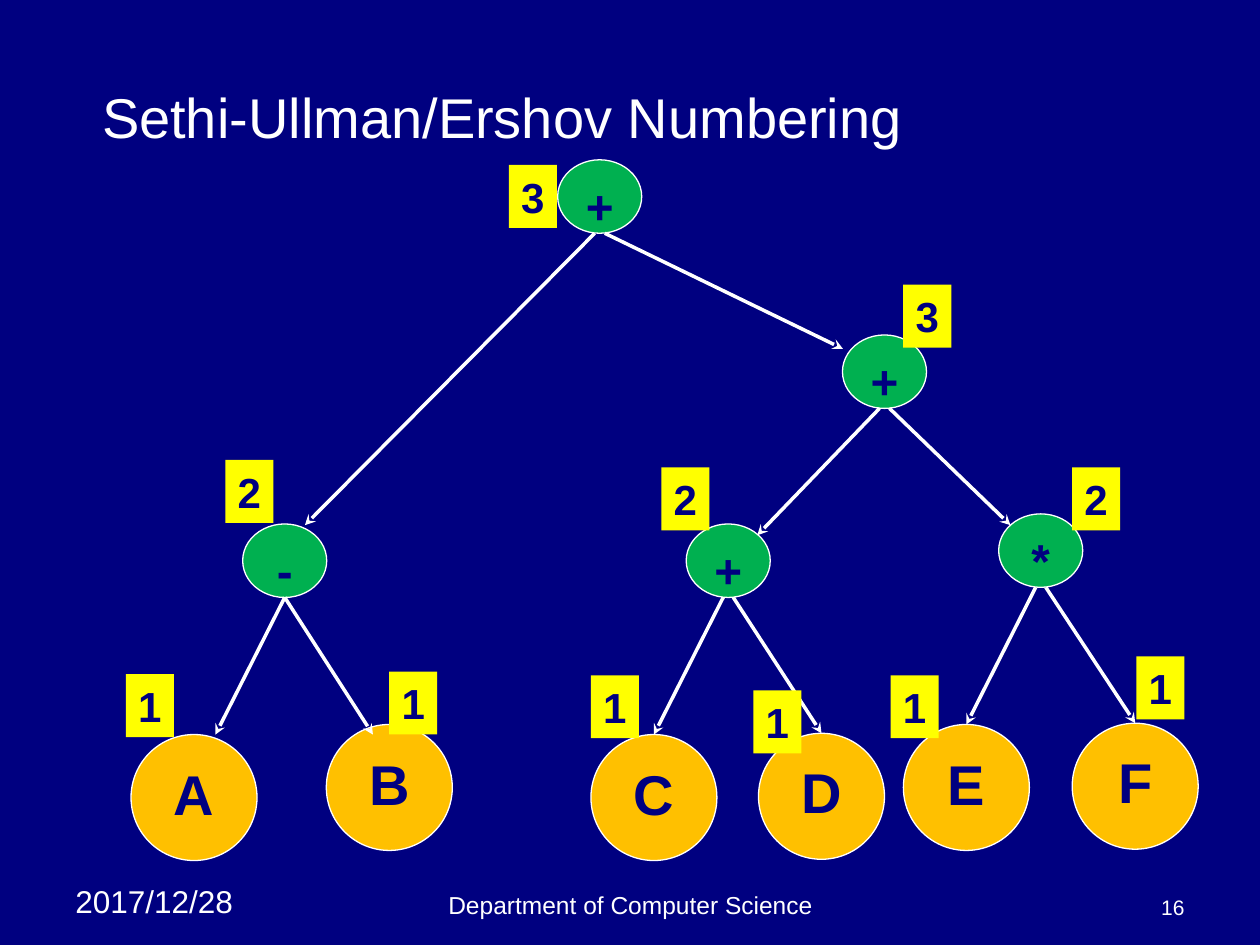
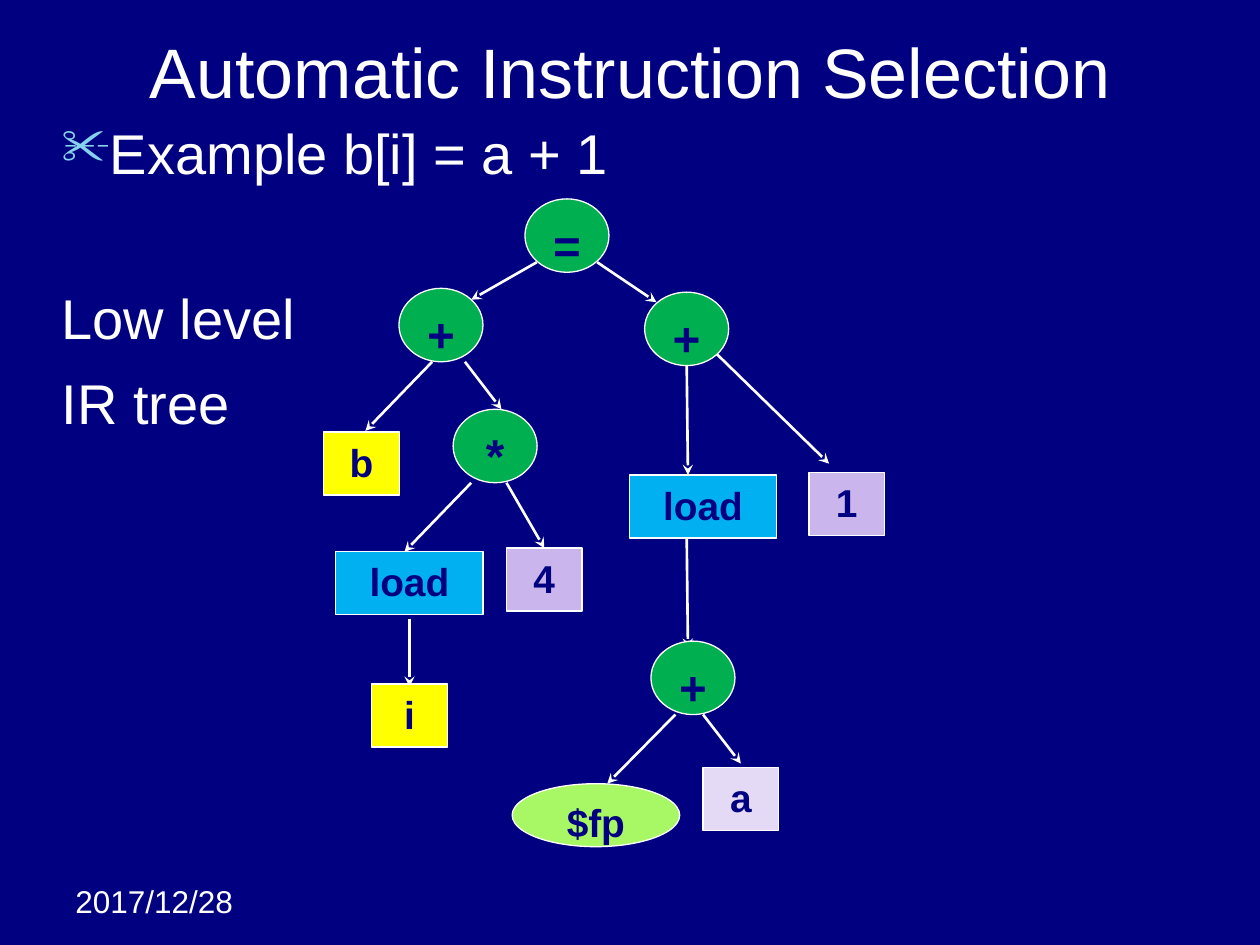
from collections import namedtuple

from lxml.etree import SubElement
from pptx import Presentation
from pptx.dml.color import RGBColor
from pptx.enum.shapes import MSO_CONNECTOR, MSO_SHAPE
from pptx.enum.text import MSO_ANCHOR, PP_ALIGN
from pptx.oxml.ns import qn
from pptx.util import Inches, Pt

NAVY = RGBColor(0x00, 0x00, 0x80)
WHITE = RGBColor(0xFF, 0xFF, 0xFF)
GREEN = RGBColor(0x00, 0xB0, 0x50)
ORANGE = RGBColor(0xFF, 0xC0, 0x00)
YELLOW = RGBColor(0xFF, 0xFF, 0x00)
BLUE = RGBColor(0x00, 0xB0, 0xF0)
LILAC = RGBColor(0xCA, 0xB5, 0xEC)
PALE_LILAC = RGBColor(0xE5, 0xDA, 0xF6)
LIME = RGBColor(0xA7, 0xF8, 0x64)
SKY = "86D1EC"
FONT = "Arial"

# The slide is a grid of 100 columns by 75 rows of square cells.
CELL = Inches(0.1)
TITLE_ONLY = 5

Box = namedtuple("Box", "left top width height")
Kind = namedtuple("Kind", "outline fill width height size")
Node = namedtuple("Node", "label kind col row")
Edge = namedtuple("Edge", "parent child leave arrive", defaults=[(0, 0), (0, 0)])

OVAL, RECT = MSO_SHAPE.OVAL, MSO_SHAPE.RECTANGLE
OPERATOR = Kind(OVAL, GREEN, 6.67, 5.83, 27.2)
LEAF = Kind(OVAL, ORANGE, 10, 10, 32)
BADGE = Kind(RECT, YELLOW, 3.82, 5, 24)
VARIABLE = Kind(RECT, YELLOW, 6, 5, 22.2)
LOAD = Kind(RECT, BLUE, 11.7, 5, 22.2)
CONSTANT = VARIABLE._replace(fill=LILAC)
OFFSET = VARIABLE._replace(fill=PALE_LILAC)
REGISTER = Kind(OVAL, LIME, 13.3, 5, 22.2)

DATE_BOX = Box(5, 69.5, 15.8, 4)
DEPARTMENT_BOX = Box(34.2, 68.3, 31.7, 5.2)
NUMBER_BOX = Box(71.7, 68.3, 23.3, 5.2)

NUMBERED_TREE = {
    "root": Node("+", OPERATOR, 37.6, 3.1),
    "right": Node("+", OPERATOR, 60.2, 17),
    "minus": Node("-", OPERATOR, 12.6, 32),
    "plus": Node("+", OPERATOR, 47.8, 32),
    "times": Node("*", OPERATOR, 72.6, 31.2),
    "A": Node("A", LEAF, 5.4, 50.8),
    "B": Node("B", LEAF, 20.9, 50),
    "C": Node("C", LEAF, 41.9, 50.8),
    "D": Node("D", LEAF, 55.2, 50.7),
    "E": Node("E", LEAF, 66.7, 50),
    "F": Node("F", LEAF, 80.1, 49.9),
}
NUMBERED_EDGES = [
    Edge("root", "minus", (-0.4, 0), (1.6, 0.1)),
    Edge("root", "right", (0.4, 0), (-3.3, 1.1)),
    Edge("right", "plus", (-0.4, 0), (2.3, 0.9)),
    Edge("right", "times", (0.4, 0), (-2.4, 0.9)),
    Edge("minus", "A", arrive=(1.7, 0)),
    Edge("minus", "B", arrive=(-1.3, 0.8)),
    Edge("plus", "C", (-0.4, 0)),
    Edge("plus", "D", (0.4, 0)),
    Edge("times", "E", (-0.4, 0)),
    Edge("times", "F", (0.4, 0)),
]
# Ershov number of each node and its offset from the node's centre
ERSHOV_NUMBERS = {
    "root": ("3", -5.3, 0), "right": ("3", 3.4, -4.4),
    "minus": ("2", -2.8, -5.5), "plus": ("2", -3.4, -4.9),
    "times": ("2", 4.4, -4.1),
    "A": ("1", -3.5, -7.3), "B": ("1", 1.9, -6.7),
    "C": ("1", -3.1, -7.2), "D": ("1", -3.5, -5.9),
    "E": ("1", -4.1, -6.4), "F": ("1", 2, -7.8),
}

IR_TREE = {
    "assign": Node("=", OPERATOR, 20, 3.7),
    "address": Node("+", OPERATOR, 10, 10.8),
    "sum": Node("+", OPERATOR, 29.5, 11.1),
    "b": Node("b", VARIABLE, 3.7, 21.8),
    "times": Node("*", OPERATOR, 14.3, 20.4),
    "load i": Node("load", LOAD, 7.5, 31.3),
    "4": Node("4", CONSTANT, 18.2, 31),
    "i": Node("i", VARIABLE, 7.5, 41.8),
    "load a": Node("load", LOAD, 30.8, 25.2),
    "1": Node("1", CONSTANT, 42.2, 25),
    "frame": Node("+", OPERATOR, 30, 38.8),
    "fp": Node("$fp", REGISTER, 22.3, 49.7),
    "a": Node("a", OFFSET, 33.8, 48.4),
}
IR_EDGES = [
    Edge("assign", "address", (-2.4, -0.8), (2.4, 0.9)),
    Edge("assign", "sum", (2.4, -0.8), (-2.4, 0.8)),
    Edge("address", "b", (-0.7, 0), (0.3, -0.1)),
    Edge("address", "times", (1.9, 0), (0.5, 0)),
    Edge("times", "load i", (-1.9, 0), (-0.4, 0)),
    Edge("times", "4", (0.9, 0)),
    Edge("load i", "i", (0, 0.3), (0, 0.2)),
    Edge("sum", "load a", arrive=(-1.2, 0)),
    Edge("sum", "1", (2.3, -1), (-1.4, -0.7)),
    Edge("load a", "frame", (-1.3, 0), (-0.4, 0.6)),
    Edge("frame", "fp", (-1.4, 0), (0.9, 0)),
    Edge("frame", "a", (0.8, 0), (0, -0.3)),
]


def cells(*counts):
    return [round(count * CELL) for count in counts]


def add_run(paragraph, words, size, color=WHITE, bold=False):
    run = paragraph.add_run()
    run.text = words
    run.font.name, run.font.size = FONT, Pt(size)
    run.font.color.rgb, run.font.bold = color, bold


def add_text(slide, box, words, size, align=PP_ALIGN.LEFT, anchor=MSO_ANCHOR.TOP):
    frame = slide.shapes.add_textbox(*cells(*box)).text_frame
    frame.word_wrap, frame.vertical_anchor = True, anchor
    frame.paragraphs[0].alignment = align
    add_run(frame.paragraphs[0], words, size)


def add_titled_slide(prs, box, title, size, align):
    """Add a slide with what all slides share: its title and the date."""
    slide = prs.slides.add_slide(prs.slide_layouts[TITLE_ONLY])
    heading = slide.shapes.title
    heading.left, heading.top, heading.width, heading.height = cells(*box)
    heading.text_frame.vertical_anchor = MSO_ANCHOR.MIDDLE
    heading.text_frame.paragraphs[0].alignment = align
    add_run(heading.text_frame.paragraphs[0], title, size)
    add_text(slide, DATE_BOX, "2017/12/28", 18)
    return slide


def draw_node(slide, box, node, outlined=True):
    """Draw a node centred on its column and row, counted from the box's corner."""
    kind = node.kind
    shape = slide.shapes.add_shape(kind.outline, *cells(
        box.left + node.col - kind.width / 2, box.top + node.row - kind.height / 2,
        kind.width, kind.height))
    shape.shadow.inherit = False
    shape.fill.solid()
    shape.fill.fore_color.rgb = kind.fill
    if outlined:
        shape.line.color.rgb, shape.line.width = WHITE, Pt(0.75)
    else:
        shape.line.fill.background()
    frame = shape.text_frame
    frame.word_wrap, frame.vertical_anchor = outlined, MSO_ANCHOR.TOP
    frame.paragraphs[0].alignment = PP_ALIGN.CENTER
    add_run(frame.paragraphs[0], node.label, kind.size, NAVY, bold=True)


def draw_nodes(slide, box, tree):
    for node in tree.values():
        draw_node(slide, box, node)


def draw_edges(slide, box, tree, edges, weight):
    """Draw arrows from below each parent to above its child, shifted as given."""
    for edge in edges:
        parent, child = tree[edge.parent], tree[edge.child]
        (leave_x, leave_y), (arrive_x, arrive_y) = edge.leave, edge.arrive
        arrow = slide.shapes.add_connector(MSO_CONNECTOR.STRAIGHT, *cells(
            box.left + parent.col + leave_x,
            box.top + parent.row + parent.kind.height / 2 + leave_y,
            box.left + child.col + arrive_x,
            box.top + child.row - child.kind.height / 2 + arrive_y))
        arrow.line.color.rgb, arrow.line.width = WHITE, Pt(weight)
        SubElement(arrow.line._get_or_add_ln(), qn("a:tailEnd"), type="stealth")
        SubElement(arrow._element.spPr, qn("a:effectLst"))


def draw_numbers(slide, box, tree, numbers):
    for name, (number, right, down) in numbers.items():
        node = tree[name]
        badge = Node(number, BADGE, node.col + right, node.row + down)
        draw_node(slide, box, badge, outlined=False)


def add_scissors_bullet(paragraph):
    props = paragraph._p.get_or_add_pPr()
    props.set("marL", str(Inches(0.38)))
    props.set("indent", str(-Inches(0.38)))
    color = SubElement(props, qn("a:buClr"))
    SubElement(color, qn("a:srgbClr"), val=SKY)
    SubElement(props, qn("a:buSzPct"), val="90000")
    SubElement(props, qn("a:buChar"), char="✂")


def add_example(slide, box):
    frame = slide.shapes.add_textbox(*cells(*box)).text_frame
    frame.word_wrap = True
    lines = [("Example b[i] = a + 1", 8), ("Low level", 56), ("IR tree", 10)]
    for index, (words, space) in enumerate(lines):
        paragraph = frame.add_paragraph() if index else frame.paragraphs[0]
        paragraph.space_before = Pt(space)
        add_run(paragraph, words, 32)
    add_scissors_bullet(frame.paragraphs[0])


def build_numbering_slide(prs):
    slide = add_titled_slide(prs, Box(7.1, 4.2, 85, 10),
                             "Sethi-Ullman/Ershov Numbering", 32, PP_ALIGN.LEFT)
    add_text(slide, DEPARTMENT_BOX, "Department of Computer Science", 14,
             PP_ALIGN.CENTER, MSO_ANCHOR.BOTTOM)
    add_text(slide, NUMBER_BOX, "16", 12, PP_ALIGN.RIGHT, MSO_ANCHOR.BOTTOM)
    tree_box = Box(10, 12.5, 85, 56)
    draw_nodes(slide, tree_box, NUMBERED_TREE)
    draw_edges(slide, tree_box, NUMBERED_TREE, NUMBERED_EDGES, 2)
    draw_numbers(slide, tree_box, NUMBERED_TREE, ERSHOV_NUMBERS)


def build_selection_slide(prs):
    slide = add_titled_slide(prs, Box(5, 1.7, 90, 7.8),
                             "Automatic Instruction Selection", 40, PP_ALIGN.CENTER)
    add_example(slide, Box(3.9, 8.9, 94.2, 60.8))
    tree_box = Box(25, 15, 46, 53)
    draw_edges(slide, tree_box, IR_TREE, IR_EDGES, 1.5)
    draw_nodes(slide, tree_box, IR_TREE)


def main():
    prs = Presentation()
    prs.slide_width, prs.slide_height = cells(100, 75)
    backdrop = prs.slide_master.background.fill
    backdrop.solid()
    backdrop.fore_color.rgb = NAVY
    build_numbering_slide(prs)
    build_selection_slide(prs)
    prs.save("out.pptx")


if __name__ == "__main__":
    main()
